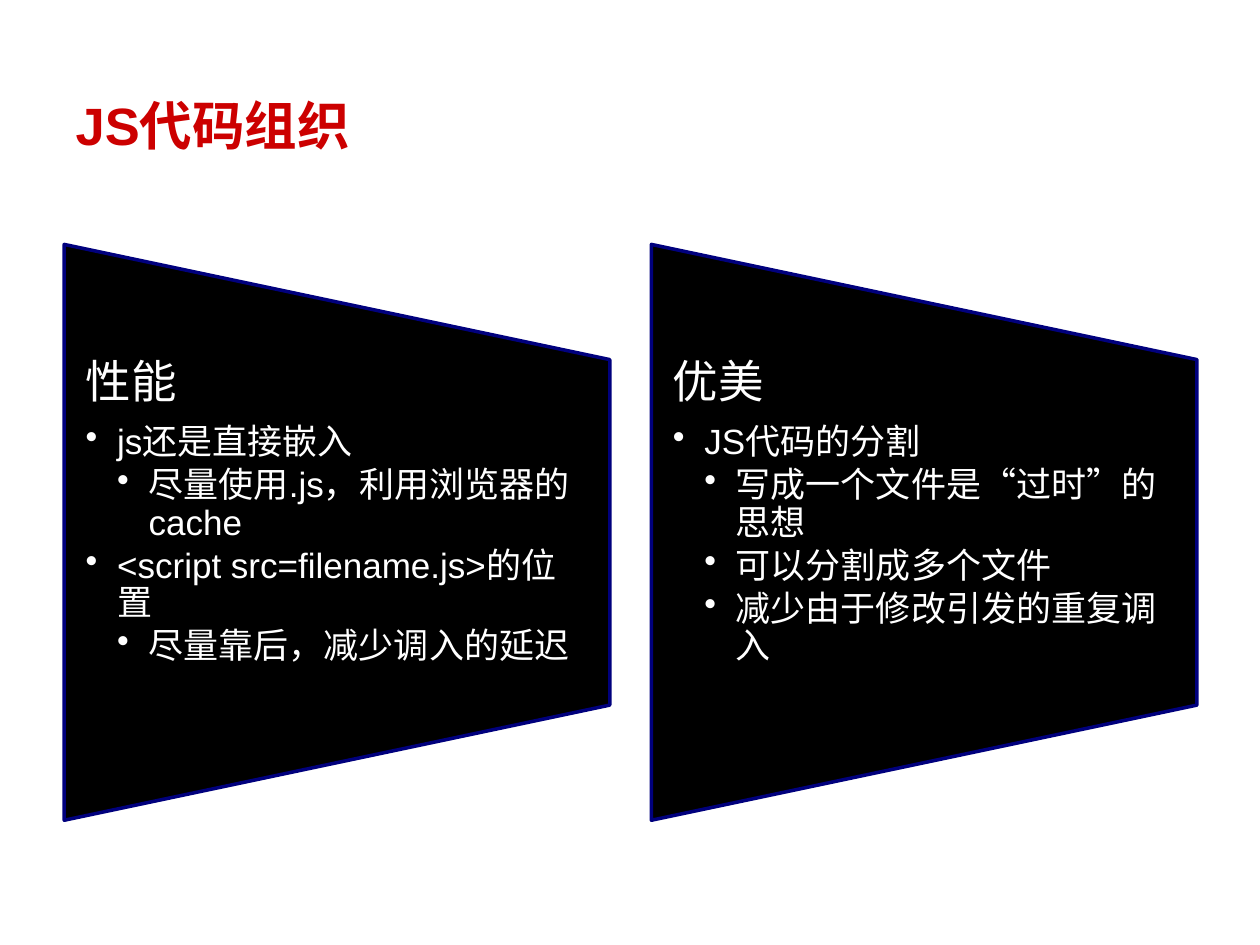
"""Build a title slide with two trapezoid panels of bulleted text."""
from lxml.etree import SubElement
from pptx import Presentation
from pptx.dml.color import RGBColor
from pptx.enum.shapes import MSO_SHAPE
from pptx.enum.text import MSO_ANCHOR, MSO_AUTO_SIZE, PP_ALIGN
from pptx.oxml.ns import qn
from pptx.util import Inches, Pt

RED = RGBColor(0xCC, 0x00, 0x00)
BLACK = RGBColor(0x00, 0x00, 0x00)
NAVY = RGBColor(0x00, 0x00, 0x7D)
WHITE = RGBColor(0xFF, 0xFF, 0xFF)

PANELS = [
    ("性能", [
        (1, "js还是直接嵌入"),
        (2, "尽量使用.js，利用浏览器的cache"),
        (1, "<script src=filename.js>的位置"),
        (2, "尽量靠后，减少调入的延迟"),
    ]),
    ("优美", [
        (1, "JS代码的分割"),
        (2, "写成一个文件是“过时”的思想"),
        (2, "可以分割成多个文件"),
        (2, "减少由于修改引发的重复调入"),
    ]),
]


def write(para, text, size=20, color=WHITE, bold=False, level=0, line=0.9, after=3):
    run = para.add_run()
    run.text = text
    run.font.name = "Arial"
    run.font.size = Pt(size)
    run.font.bold = bold
    run.font.color.rgb = color
    para.alignment = PP_ALIGN.LEFT
    para.line_spacing = line
    para.space_before = Pt(0)
    para.space_after = Pt(after)
    if level:
        para.level = level
        props = para._p.get_or_add_pPr()
        props.set("marL", str(Inches(0.25 * level)))
        props.set("indent", str(Inches(-0.25)))
        SubElement(props, qn("a:buChar")).set("char", "•")


deck = Presentation()
deck.slide_width, deck.slide_height = Inches(10), Inches(7.5)
slide = deck.slides.add_slide(deck.slide_layouts[5])

title = slide.shapes.title
title.left, title.top = Inches(0.5), Inches(0.6)
title.width, title.height = Inches(9), Inches(0.87)
title.text_frame.auto_size = MSO_AUTO_SIZE.NONE
title.text_frame.vertical_anchor = MSO_ANCHOR.MIDDLE
write(title.text_frame.paragraphs[0], "JS代码组织", size=30, color=RED,
      bold=True, line=0.8, after=0)

for col, (head, items) in enumerate(PANELS):
    left = 0.39 + 4.66 * col
    panel = slide.shapes.add_shape(
        MSO_SHAPE.FLOWCHART_MANUAL_OPERATION,
        Inches(left), Inches(2.06), Inches(4.57), Inches(4.33))
    panel.rotation = 270
    panel.shadow.inherit = False
    panel.fill.solid()
    panel.fill.fore_color.rgb = BLACK
    panel.line.color.rgb = NAVY
    panel.line.width = Pt(2)

    box = slide.shapes.add_textbox(
        Inches(left + 0.11), Inches(2.85), Inches(4.33), Inches(2.74))
    frame = box.text_frame
    frame.word_wrap = True
    frame.margin_left = frame.margin_right = Inches(0.18)
    frame.margin_top = frame.margin_bottom = Inches(0)
    write(frame.paragraphs[0], head, size=26, after=9)
    for level, text in items:
        write(frame.add_paragraph(), text, level=level)

deck.save("out.pptx")
